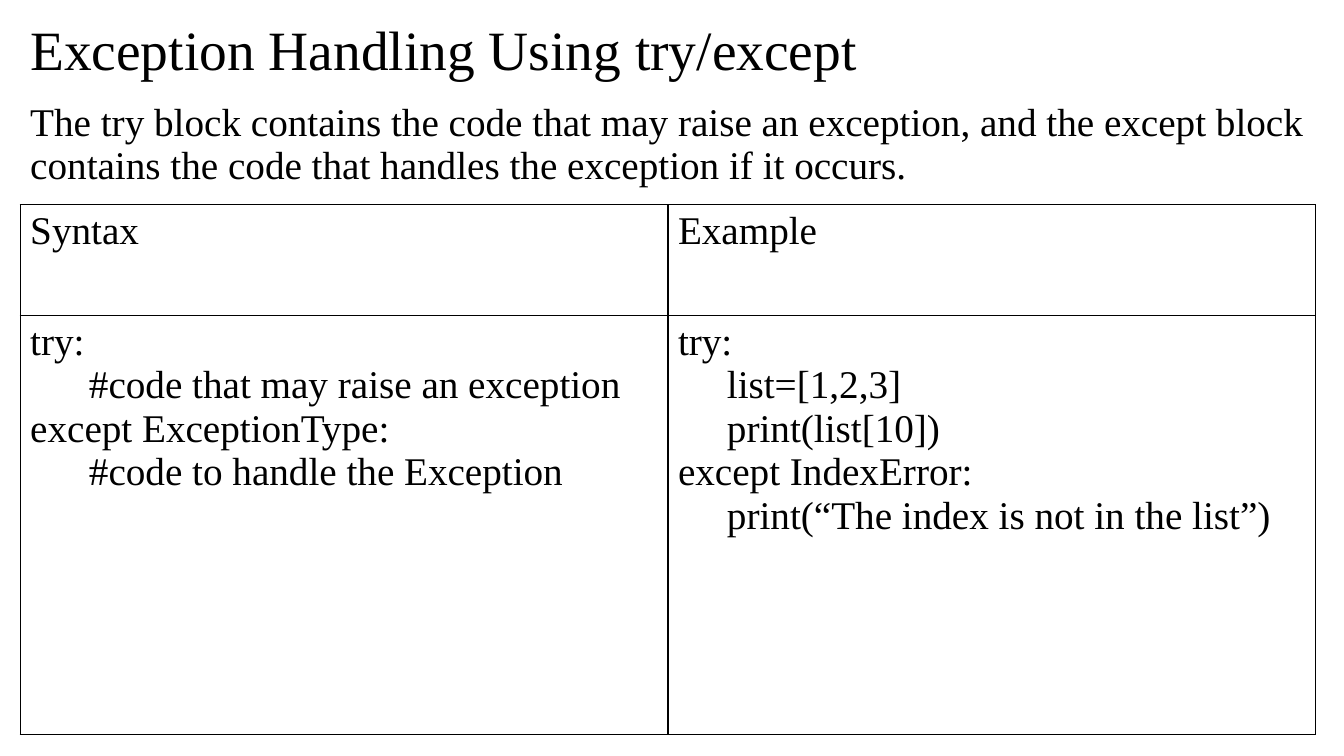
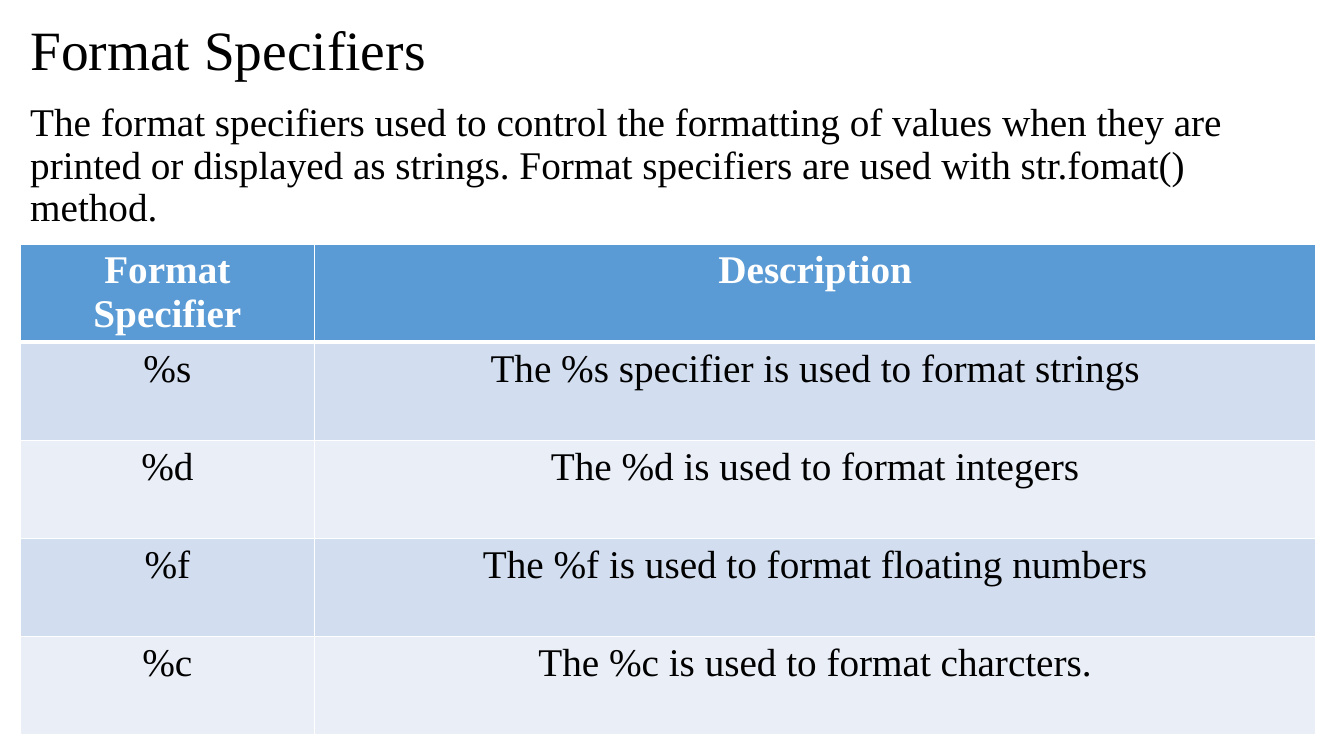
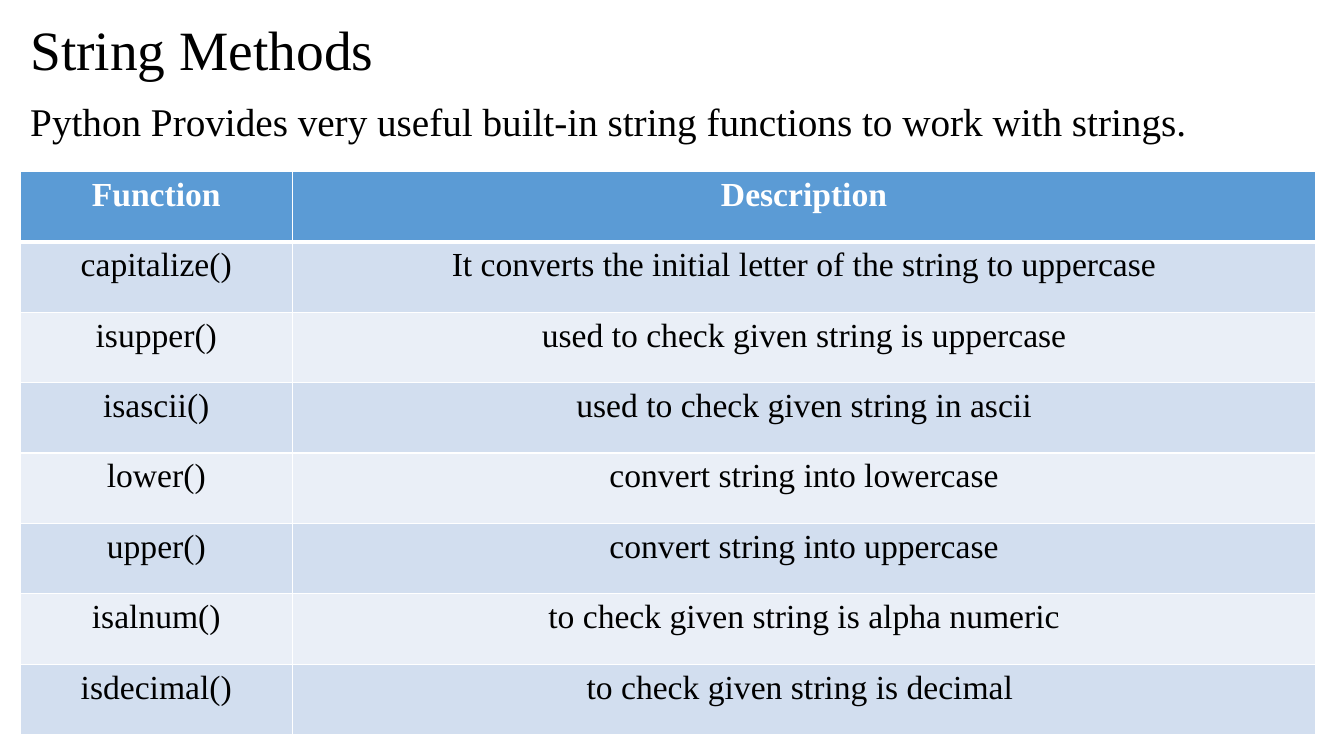
from lxml import etree
from pptx import Presentation
from pptx.dml.color import RGBColor as RGB
from pptx.enum.text import MSO_ANCHOR as Anchor, MSO_AUTO_SIZE as Fit, PP_ALIGN as Align
from pptx.oxml.ns import qn
from pptx.util import Inches, Pt

BLACK = RGB(0x00, 0x00, 0x00)
WHITE = RGB(0xFF, 0xFF, 0xFF)
BLUE = RGB(0x5B, 0x9B, 0xD5)
BANDS = (RGB(0xEA, 0xEF, 0xF7), RGB(0xD2, 0xDE, 0xEF))
FONT = "Times New Roman"
LEFT, WIDTH = 0.2, 12.85
BOTTOM = 7.29

CODE = [
    ("Syntax", "Example"),
    ("try:\n"
     "      #code that may raise an exception\n"
     "except ExceptionType:\n"
     "      #code to handle the Exception",
     "try:\n"
     "     list=[1,2,3]\n"
     "     print(list[10])\n"
     "except IndexError:\n"
     "     print(“The index is not in the list”)"),
]
FORMATS = [
    ("Format Specifier", "Description"),
    ("%s", "The %s specifier is used to format strings"),
    ("%d", "The %d is used to format integers"),
    ("%f", "The %f is used to format floating numbers"),
    ("%c", "The %c is used to format charcters."),
]
METHODS = [
    ("Function", "Description"),
    ("capitalize()", "It converts the initial letter of the string to uppercase"),
    ("isupper()", "used to check given string is uppercase"),
    ("isascii()", "used to check given string in ascii"),
    ("lower()", "convert string into lowercase"),
    ("upper()", "convert string into uppercase"),
    ("isalnum()", "to check given string is alpha numeric"),
    ("isdecimal()", "to check given string is decimal "),
]


def style(frame, size, color=BLACK, bold=False, align=Align.LEFT):
    for para in frame.paragraphs:
        para.alignment = align
        for run in para.runs:
            font = run.font
            font.name, font.size, font.bold = FONT, Pt(size), bold
            font.color.rgb = color


def fill_holder(holder, text, top, height, size, anchor):
    holder.left, holder.top = Inches(LEFT), Inches(top)
    holder.width, holder.height = Inches(WIDTH), Inches(height)
    frame = holder.text_frame
    frame.text = text
    frame.auto_size = Fit.NONE
    frame.word_wrap = True
    frame.vertical_anchor = anchor
    para = frame.paragraphs[0]
    props = para._p.get_or_add_pPr()
    props.set("marL", "0")
    props.set("indent", "0")
    etree.SubElement(props, qn("a:buNone"))
    para.line_spacing = 0.9
    para.space_before = Pt(0)
    style(frame, size)


def add_page(deck, title, intro):
    slide = deck.slides.add_slide(deck.slide_layouts[1])
    fill_holder(slide.shapes.title, title, 0.2, 0.64, 39.6, Anchor.MIDDLE)
    fill_holder(slide.placeholders[1], intro, 0.97, 6.32, 28, Anchor.TOP)
    return slide


def set_edges(cell, color, top=1, bottom=1):
    """Draw the four borders; widths are in points."""
    props = cell._tc.get_or_add_tcPr()
    widths = {"lnL": 1, "lnR": 1, "lnT": top, "lnB": bottom}
    for place, (tag, width) in enumerate(widths.items()):
        line = etree.Element(qn("a:" + tag), w=str(Pt(width)))
        solid = etree.SubElement(line, qn("a:solidFill"))
        etree.SubElement(solid, qn("a:srgbClr"), val=str(color))
        props.insert(place, line)


def add_grid(slide, rows, top, first, heights):
    """Place a two-column table whose first column is `first` inches wide."""
    frame = slide.shapes.add_table(len(rows), 2, Inches(LEFT), Inches(top),
                                   Inches(WIDTH), Inches(sum(heights)))
    table = frame.table
    table.first_row = table.horz_banding = False
    for col, width in zip(table.columns, (first, WIDTH - first)):
        col.width = Inches(width)
    for row, height, texts in zip(table.rows, heights, rows):
        row.height = Inches(height)
        for cell, text in zip(row.cells, texts):
            cell.text = text
    return table


def add_code(slide, rows, top):
    head = 1.1
    table = add_grid(slide, rows, top, WIDTH / 2, (head, BOTTOM - top - head))
    for cell in table.iter_cells():
        cell.fill.background()
        style(cell.text_frame, 28)
        set_edges(cell, BLACK)


def add_banded(slide, rows, top, first, size):
    count = len(rows)
    table = add_grid(slide, rows, top, first, [(BOTTOM - top) / count] * count)
    for index, row in enumerate(table.rows):
        head = index == 0
        for cell in row.cells:
            cell.fill.solid()
            cell.fill.fore_color.rgb = BLUE if head else BANDS[index % 2]
            style(cell.text_frame, size, WHITE if head else BLACK, head, Align.CENTER)
            set_edges(cell, WHITE, top=3 if index == 1 else 1, bottom=3 if head else 1)


def main():
    deck = Presentation()
    deck.slide_width, deck.slide_height = Inches(13.33), Inches(7.5)

    page = add_page(deck, "Exception Handling Using try/except",
                    "The try block contains the code that may raise an exception, and the "
                    "except block contains the code that handles the exception if it occurs.")
    add_code(page, CODE, 2.03)

    page = add_page(deck, "Format Specifiers",
                    "The format specifiers used to control the formatting of values when they "
                    "are printed or displayed as strings. Format specifiers are used with "
                    "str.fomat() method.")
    add_banded(page, FORMATS, 2.42, 2.92, 28)

    page = add_page(deck, "String Methods",
                    "Python Provides very useful built-in string functions to work with strings.")
    add_banded(page, METHODS, 1.7, 2.7, 24)

    deck.save("out.pptx")


if __name__ == "__main__":
    main()
